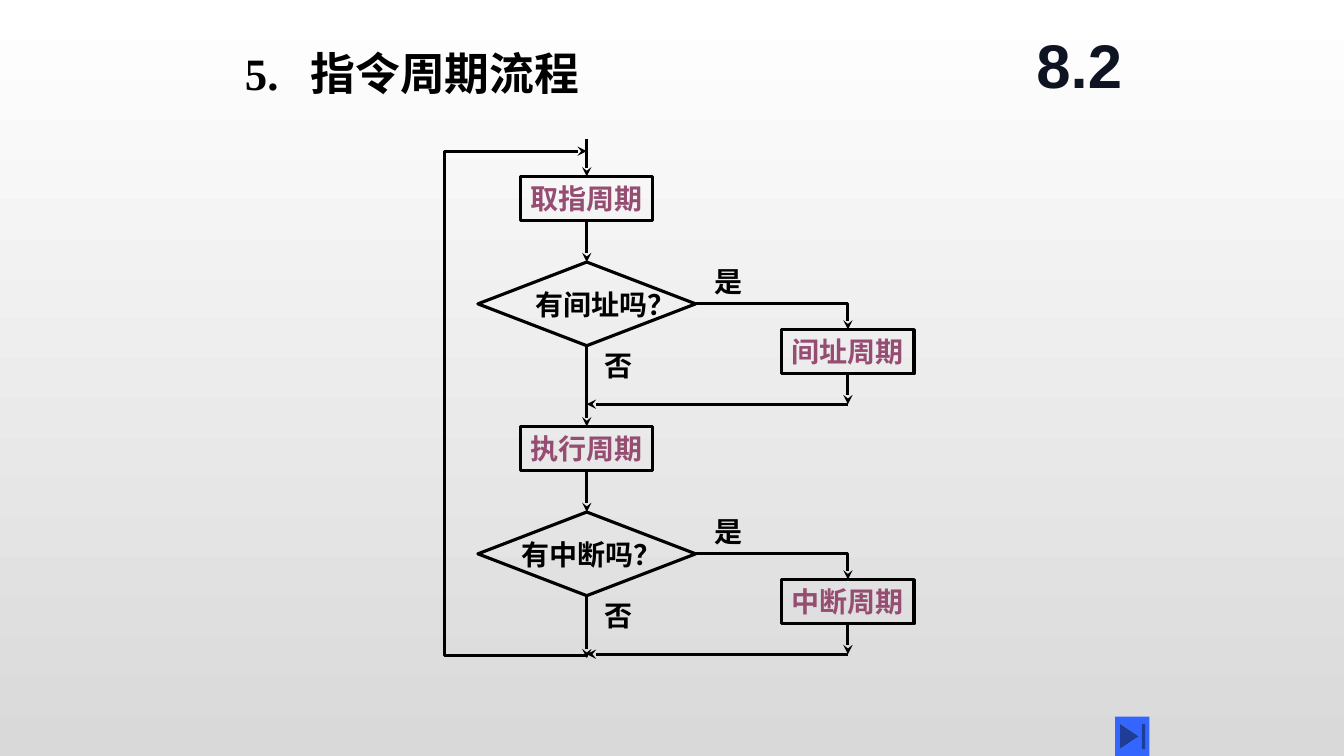
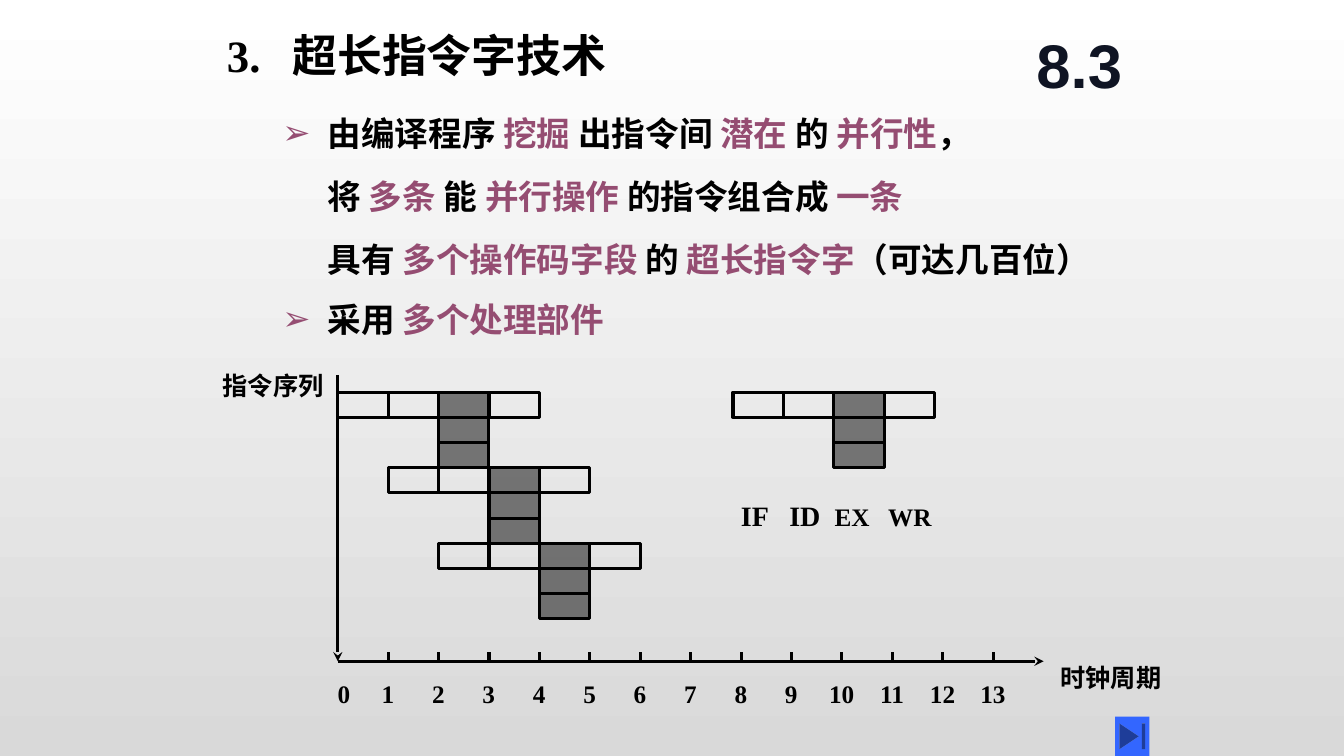
from dataclasses import dataclass
from typing import NamedTuple

from lxml.etree import SubElement
from pptx import Presentation
from pptx.dml.color import RGBColor
from pptx.enum.shapes import MSO_CONNECTOR, MSO_SHAPE
from pptx.enum.text import MSO_ANCHOR, MSO_AUTO_SIZE, PP_ALIGN
from pptx.oxml.ns import qn
from pptx.presentation import Presentation as Deck
from pptx.shapes.autoshape import Shape
from pptx.shapes.connector import Connector
from pptx.slide import Slide
from pptx.util import Inches, Pt


@dataclass(frozen=True)
class Theme:
    ink: RGBColor = RGBColor(0x00, 0x00, 0x00)
    accent: RGBColor = RGBColor(0x95, 0x4D, 0x72)
    section: RGBColor = RGBColor(0x0F, 0x14, 0x23)
    button: RGBColor = RGBColor(0x33, 0x66, 0xFF)
    background_top: RGBColor = RGBColor(0xFF, 0xFF, 0xFF)
    background_bottom: RGBColor = RGBColor(0xD9, 0xD9, 0xD9)
    text_font: str = "Times New Roman"
    section_font: str = "Arial"
    section_size: int = 44
    title_size: int = 32
    body_size: int = 24
    flow_size: int = 20
    axis_size: int = 18
    line_width: float = 2.25


THEME = Theme()


class Box(NamedTuple):
    left: float
    top: float
    width: float
    height: float

    def lengths(self) -> list[Inches]:
        return [Inches(value) for value in self]


class Point(NamedTuple):
    x: float
    y: float


@dataclass(frozen=True)
class Stage:
    """One cycle of the flow chart, with the question that follows it."""
    top: float
    action: str
    question: str
    question_shift: float
    branch: str


@dataclass(frozen=True)
class BodyLine:
    """Text whose parts, split at |, are plain and accented in turn."""
    text: str
    bulleted: bool
    pitch: float


SPINE_X = 5.82
BRANCH_X = 8.41
LOOP_X = 4.41
STAGES = (
    Stage(1.75, "取指周期", "有间址吗？", 0.19, "间址周期"),
    Stage(4.23, "执行周期", "有中断吗？", 0.05, "中断周期"),
)

BODY_LINES = (
    BodyLine("由编译程序 |挖掘 |出指令间 |潜在 |的 |并行性|，", True, 45),
    BodyLine("将 |多条 |能 |并行操作 |的指令组合成 |一条", False, 45),
    BodyLine("具有 |多个操作码字段 |的 |超长指令字|（可达几百位）", False, 45),
    BodyLine("采用 |多个处理部件", True, 43),
)

ORIGIN = Point(3.35, 6.56)
CELL_WIDTH = 0.5
CELL_HEIGHT = 0.25
PIPELINES = [Point(ORIGIN.x + n * CELL_WIDTH, 3.89 + n * 3 * CELL_HEIGHT) for n in range(3)]
LEGEND = Point(7.27, 3.89)
LAST_CYCLE = 13


def style_paragraph(para, size: int, color: RGBColor = THEME.ink, font: str = THEME.text_font) -> None:
    para.font.name = font
    para.font.size = Pt(size)
    para.font.bold = True
    para.font.color.rgb = color


def set_tabs(para, positions: list[float], align: str = "l") -> None:
    tabs = SubElement(para._p.get_or_add_pPr(), qn("a:tabLst"))
    for position in positions:
        SubElement(tabs, qn("a:tab"), pos=str(Inches(position)), algn=align)


def set_bullet(para, bulleted: bool, indent: float) -> None:
    properties = para._p.get_or_add_pPr()
    properties.set("marL", str(Inches(indent)))
    properties.set("indent", str(-Inches(indent) if bulleted else 0))
    if bulleted:
        color = SubElement(properties, qn("a:buClr"))
        SubElement(color, qn("a:srgbClr"), val=str(THEME.accent))
        SubElement(properties, qn("a:buFont"), typeface="Arial")
        SubElement(properties, qn("a:buChar"), char="➢")
    else:
        SubElement(properties, qn("a:buNone"))


def place(shape: Shape, box: Box) -> None:
    shape.left, shape.top, shape.width, shape.height = box.lengths()


def add_label(page: Slide, box: Box, text: str, size: int, color: RGBColor = THEME.ink,
              font: str = THEME.text_font) -> Shape:
    label = page.shapes.add_textbox(*box.lengths())
    para = label.text_frame.paragraphs[0]
    para.text = text
    style_paragraph(para, size, color, font)
    return label


def outline(shape: Shape | Connector, arrow: bool = False) -> None:
    shape.line.color.rgb = THEME.ink
    shape.line.width = Pt(THEME.line_width)
    if arrow:
        SubElement(shape.element.spPr.find(qn("a:ln")), qn("a:tailEnd"), type="stealth")


def add_outlined(page: Slide, kind: MSO_SHAPE, box: Box) -> Shape:
    shape = page.shapes.add_shape(kind, *box.lengths())
    shape.shadow.inherit = False
    shape.fill.background()
    outline(shape)
    return shape


def add_node(page: Slide, kind: MSO_SHAPE, box: Box, text: str, color: RGBColor,
             shift: float = 0) -> Shape:
    """Draw a flow chart node, its centred text moved right by shift."""
    node = add_outlined(page, kind, box)
    frame = node.text_frame
    frame.word_wrap = False
    frame.vertical_anchor = MSO_ANCHOR.MIDDLE
    frame.margin_left, frame.margin_right = Inches(2 * shift), 0
    frame.margin_top = frame.margin_bottom = 0
    para = frame.paragraphs[0]
    para.text = text
    para.alignment = PP_ALIGN.CENTER
    style_paragraph(para, THEME.flow_size, color)
    return node


def add_line(page: Slide, start: Point | Shape, end: Point | Shape, arrow: bool = True) -> None:
    """Draw a line; a shape stands for the middle of its bottom (start) or top (end)."""
    points = [Point(0, 0) if isinstance(place_, Shape) else place_ for place_ in (start, end)]
    line = page.shapes.add_connector(
        MSO_CONNECTOR.STRAIGHT, *(Inches(value) for point in points for value in point))
    if isinstance(start, Shape):
        line.begin_connect(start, 2)
    if isinstance(end, Shape):
        line.end_connect(end, 0)
    outline(line, arrow)
    SubElement(line.element.spPr, qn("a:effectLst"))


def add_bent_arrow(page: Slide, *points: Point) -> None:
    first, *rest = [(Inches(point.x), Inches(point.y)) for point in points]
    builder = page.shapes.build_freeform(*first)
    builder.add_line_segments(rest, close=False)
    path = builder.convert_to_shape()
    path.shadow.inherit = False
    path.fill.background()
    outline(path, arrow=True)


def set_background(deck: Deck) -> None:
    fill = deck.slide_master.background.fill
    fill.gradient()
    fill.gradient_angle = 270
    for stop, color in zip(fill.gradient_stops, (THEME.background_top, THEME.background_bottom)):
        stop.color.rgb = color


def add_page(deck: Deck, layout: int, number: str, title: str, corner: Point, section: str) -> Slide:
    """Add a slide with its title, section number and end button."""
    page = deck.slides.add_slide(deck.slide_layouts[layout])
    heading = page.shapes.title
    place(heading, Box(*corner, 6.25, 0.64))
    heading.text_frame.vertical_anchor = MSO_ANCHOR.MIDDLE
    heading.text_frame.auto_size = MSO_AUTO_SIZE.NONE
    para = heading.text_frame.paragraphs[0]
    para.text = f"{number}\t{title}"
    para.alignment = PP_ALIGN.LEFT
    set_tabs(para, [0.65])
    style_paragraph(para, THEME.title_size)

    label = add_label(page, Box(10.08, 0.17, 1.25, 0.92), section, THEME.section_size,
                      THEME.section, THEME.section_font)
    label.text_frame.vertical_anchor = MSO_ANCHOR.MIDDLE
    label.text_frame.paragraphs[0].alignment = PP_ALIGN.CENTER

    button = page.shapes.add_shape(MSO_SHAPE.ACTION_BUTTON_END, *Box(11.06, 7.11, 0.34, 0.39).lengths())
    button.shadow.inherit = False
    button.fill.solid()
    button.fill.fore_color.rgb = THEME.button
    button.line.fill.background()
    return page


def add_stage(page: Slide, stage: Stage) -> tuple[Shape, Shape]:
    """Draw a stage and return its first and last node on the spine."""
    width, height = 1.31, 0.44
    action = add_node(page, MSO_SHAPE.RECTANGLE, Box(SPINE_X - width / 2, stage.top, width, height),
                      stage.action, THEME.accent)
    question = add_node(page, MSO_SHAPE.DIAMOND, Box(SPINE_X - 1.08, stage.top + 0.85, 2.16, 0.83),
                        stage.question, THEME.ink, stage.question_shift)
    branch_top = stage.top + 1.52
    branch = add_node(page, MSO_SHAPE.RECTANGLE, Box(BRANCH_X - width / 2, branch_top, width, height),
                      stage.branch, THEME.accent)
    add_line(page, action, question)
    turn_y = stage.top + 1.26
    add_bent_arrow(page, Point(SPINE_X + 1.08, turn_y), Point(BRANCH_X, turn_y),
                   Point(BRANCH_X, branch_top))
    join_y = stage.top + 2.26
    add_line(page, branch, Point(BRANCH_X, join_y))
    add_line(page, Point(BRANCH_X, join_y), Point(SPINE_X, join_y))
    add_label(page, Box(6.99, stage.top + 0.83, 0.48, 0.44), "是", THEME.flow_size)
    add_label(page, Box(5.9, stage.top + 1.66, 0.48, 0.44), "否", THEME.flow_size)
    return action, question


def build_cycle_flow(deck: Deck) -> None:
    page = add_page(deck, 5, "5.", "指令周期流程", Point(2.33, 0.4), "8.2")
    previous: Point | Shape = Point(SPINE_X, 1.38)
    for stage in STAGES:
        action, question = add_stage(page, stage)
        add_line(page, previous, action)
        previous = question
    loop_top, loop_bottom = 1.5, 6.5
    add_line(page, previous, Point(SPINE_X, loop_bottom + 0.03))
    add_bent_arrow(page, Point(SPINE_X, loop_bottom), Point(LOOP_X, loop_bottom),
                   Point(LOOP_X, loop_top), Point(SPINE_X, loop_top))


def fill_body(page: Slide) -> None:
    body = page.placeholders[1]
    place(body, Box(2.8, 0.89, 8.6, 2.6))
    frame = body.text_frame
    frame.auto_size = MSO_AUTO_SIZE.NONE
    frame.vertical_anchor = MSO_ANCHOR.TOP
    frame.margin_left = frame.margin_right = frame.margin_top = frame.margin_bottom = 0
    for index, line in enumerate(BODY_LINES):
        para = frame.add_paragraph() if index else frame.paragraphs[0]
        para.line_spacing = Pt(line.pitch)
        para.space_before = Pt(0)
        set_bullet(para, line.bulleted, 0.45)
        style_paragraph(para, THEME.body_size)
        for part, text in enumerate(line.text.split("|")):
            span = para.add_run()
            span.text = text
            if part % 2:
                span.font.color.rgb = THEME.accent


def add_pipeline(page: Slide, corner: Point) -> None:
    """Draw four steps in a row, the third one shaded and three cells deep."""
    for column, row in ((0, 0), (1, 0), (3, 0), (2, 0), (2, 1), (2, 2)):
        cell = add_outlined(page, MSO_SHAPE.RECTANGLE, Box(
            corner.x + column * CELL_WIDTH, corner.y + row * CELL_HEIGHT, CELL_WIDTH, CELL_HEIGHT))
        if column == 2:
            cell.fill.solid()
            cell.fill.fore_color.rgb = THEME.ink
            color = cell.element.spPr.find(qn("a:solidFill")).find(qn("a:srgbClr"))
            SubElement(color, qn("a:alpha"), val="50000")


def add_axes(page: Slide) -> None:
    add_line(page, Point(ORIGIN.x, 3.72), ORIGIN)
    add_line(page, ORIGIN, Point(10.35, ORIGIN.y))
    offsets = [cycle * CELL_WIDTH for cycle in range(1, LAST_CYCLE + 1)]
    for offset in offsets:
        x = ORIGIN.x + offset
        add_line(page, Point(x, ORIGIN.y - 0.09), Point(x, ORIGIN.y), arrow=False)
    numbers = add_label(page, Box(3.25, 6.68, 7, 0.4),
                        "\t".join(str(cycle) for cycle in range(LAST_CYCLE + 1)), THEME.axis_size)
    numbers_para = numbers.text_frame.paragraphs[0]
    set_tabs(numbers_para, offsets, "ctr")
    style_paragraph(numbers_para, THEME.axis_size)
    add_label(page, Box(10.42, 6.52, 1.2, 0.4), "时钟周期", THEME.axis_size)
    add_label(page, Box(2.11, 3.62, 1.2, 0.4), "指令序列", THEME.axis_size)


def build_long_word(deck: Deck) -> None:
    page = add_page(deck, 1, "3.", "超长指令字技术", Point(2.15, 0.22), "8.3")
    fill_body(page)
    for corner in (*PIPELINES, LEGEND):
        add_pipeline(page, corner)
    steps = page.shapes.add_textbox(*Box(7.25, 4.9, 2.2, 0.44).lengths())
    para = steps.text_frame.paragraphs[0]
    set_tabs(para, [0.48, 0.93, 1.46])
    style_paragraph(para, THEME.flow_size)
    for text, size in (("IF\tID\t", THEME.flow_size), ("EX\tWR", THEME.axis_size)):
        span = para.add_run()
        span.text = text
        span.font.size = Pt(size)
    add_axes(page)


def main() -> None:
    deck = Presentation()
    deck.slide_width, deck.slide_height = Inches(13.33), Inches(7.5)
    set_background(deck)
    build_cycle_flow(deck)
    build_long_word(deck)
    deck.save("out.pptx")


if __name__ == "__main__":
    main()
